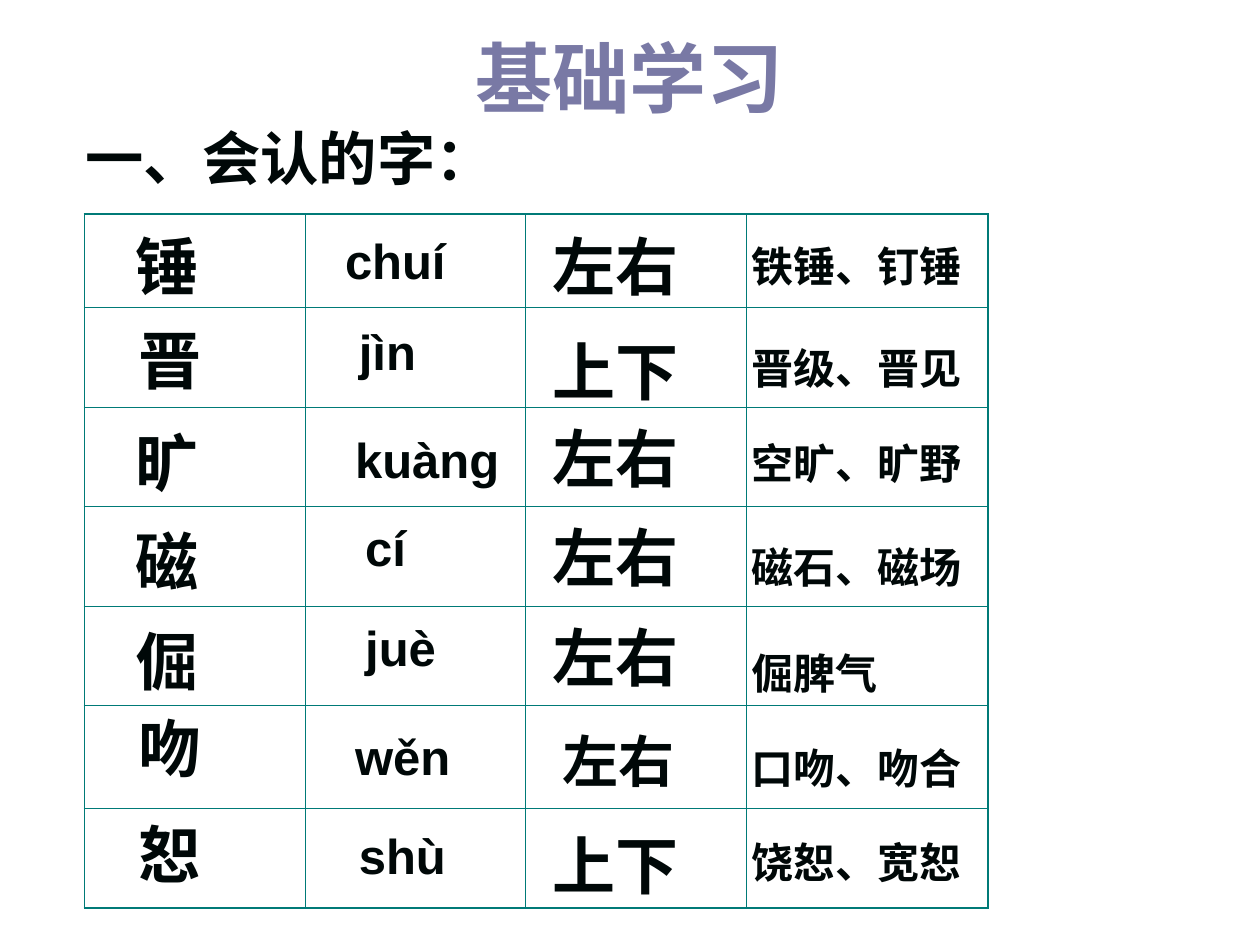
from lxml import etree
from pptx import Presentation
from pptx.dml.color import RGBColor
from pptx.enum.text import MSO_ANCHOR, PP_ALIGN
from pptx.oxml.ns import qn
from pptx.util import Inches, Pt

LEFT, CENTER = PP_ALIGN.LEFT, PP_ALIGN.CENTER
TOP, MIDDLE = MSO_ANCHOR.TOP, MSO_ANCHOR.MIDDLE

INK = RGBColor(0x00, 0x08, 0x08)
TITLE_PURPLE = RGBColor(0x79, 0x79, 0xA5)
GRID_TEAL = RGBColor(0x00, 0x7A, 0x77)

SANS, SERIF = "Arial", "Times New Roman"
OUTER_LINE, INNER_LINE = 1.08, 0.45

COLUMN_WIDTHS = [1.75, 1.75, 1.75, 1.92]
ROW_HEIGHTS = [0.74, 0.79, 0.79, 0.79, 0.79, 0.82, 0.79]

# Each entry: text, left, top, width, then any format of its own
CHARACTERS = [
    ("锤", 0.98, 1.76, 1.02), ("晋", 1, 2.5, 1.02), ("旷", 0.98, 3.31, 1.02),
    ("磁", 0.98, 4.1, 1.02), ("倔", 0.98, 4.89, 1.02), ("吻", 1, 5.58, 1.02),
    ("恕", 1, 6.42, 1.02),
]
PINYIN = [
    ("chuí", 2.64, 1.78, 1.34), ("jìn", 2.75, 2.5, 1.15),
    ("kuàng", 2.72, 3.36, 1.62), ("cí", 2.8, 4.06, 1.02),
    ("juè", 2.8, 4.85, 1.48), ("wěn", 2.72, 5.72, 1.02),
    ("shù", 2.75, 6.5, 1.33),
]
STRUCTURES = [
    ("左右", 4.29, 1.76, 1.42, {"font": SERIF}), ("上下", 4.29, 2.59, 1.26),
    ("左右", 4.29, 3.28, 1.33), ("左右", 4.29, 4.07, 1.33),
    ("左右", 4.29, 4.86, 1.33),
    ("左右", 4.12, 5.72, 1.58, {"size": 32, "height": 0.64, "align": CENTER}),
    ("上下", 4.29, 6.51, 1.33),
]
WORDS = [
    ("铁锤、钉锤", 5.87, 1.86, 2, {"font": SERIF}), ("晋级、晋见", 5.87, 2.67, 2.17),
    ("空旷、旷野", 5.87, 3.42, 2, {"font": SERIF}), ("磁石、磁场", 5.87, 4.25, 2.17),
    ("倔脾气", 5.87, 5.09, 2, {"font": SERIF}), ("口吻、吻合", 5.87, 5.84, 2.17),
    ("饶恕、宽恕", 5.87, 6.59, 2.17),
]


def add_text(slide, text, left, top, width, height, size,
             font=SANS, color=INK, align=LEFT, anchor=TOP):
    box = slide.shapes.add_textbox(
        Inches(left), Inches(top), Inches(width), Inches(height))
    frame = box.text_frame
    frame.word_wrap = True
    frame.vertical_anchor = anchor
    paragraph = frame.paragraphs[0]
    paragraph.alignment = align
    run = paragraph.add_run()
    run.text = text
    run.font.name = font
    run.font.size = Pt(size)
    run.font.bold = True
    run.font.color.rgb = color


def set_borders(cell, **widths):
    """Draw the given sides (L, R, T, B) with their widths in points."""
    properties = cell._tc.get_or_add_tcPr()
    for position, (side, width) in enumerate(widths.items()):
        line = etree.Element(qn(f"a:ln{side}"), w=str(int(Pt(width))))
        fill = etree.SubElement(line, qn("a:solidFill"))
        etree.SubElement(fill, qn("a:srgbClr"), val=str(GRID_TEAL))
        properties.insert(position, line)


def add_grid(slide, left, top):
    rows, columns = len(ROW_HEIGHTS), len(COLUMN_WIDTHS)
    grid = slide.shapes.add_table(
        rows, columns, Inches(left), Inches(top),
        Inches(sum(COLUMN_WIDTHS)), Inches(sum(ROW_HEIGHTS))).table
    grid.first_row = grid.horz_banding = False
    for column, width in zip(grid.columns, COLUMN_WIDTHS):
        column.width = Inches(width)
    for row, height in zip(grid.rows, ROW_HEIGHTS):
        row.height = Inches(height)

    def weight(is_edge):
        return OUTER_LINE if is_edge else INNER_LINE

    for r in range(rows):
        for c in range(columns):
            cell = grid.cell(r, c)
            cell.fill.background()
            set_borders(cell, L=weight(c == 0), R=weight(c == columns - 1),
                        T=weight(r == 0), B=weight(r == rows - 1))


def add_column(slide, entries, **column_format):
    for text, left, top, width, *own_format in entries:
        style = dict(column_format)
        for extra in own_format:
            style.update(extra)
        add_text(slide, text, left, top, width, **style)


def main():
    prs = Presentation()
    prs.slide_width, prs.slide_height = Inches(10), Inches(7.5)
    slide = prs.slides.add_slide(prs.slide_layouts[6])

    # Headings
    add_text(slide, "基础学习", 0.5, 0.17, 9, 0.87, size=44,
             color=TITLE_PURPLE, align=CENTER, anchor=MIDDLE)
    add_text(slide, "一、会认的字：", 0.58, 0.92, 5.59, 0.69, size=33.3)

    # Ruled grid with the vocabulary placed over it
    add_grid(slide, 0.67, 1.7)
    add_column(slide, CHARACTERS, height=0.7, size=36, font=SERIF)
    add_column(slide, PINYIN, height=0.57, size=28)
    add_column(slide, STRUCTURES, height=0.7, size=36)
    add_column(slide, WORDS, height=0.5, size=24)

    prs.save("out.pptx")


if __name__ == "__main__":
    main()
